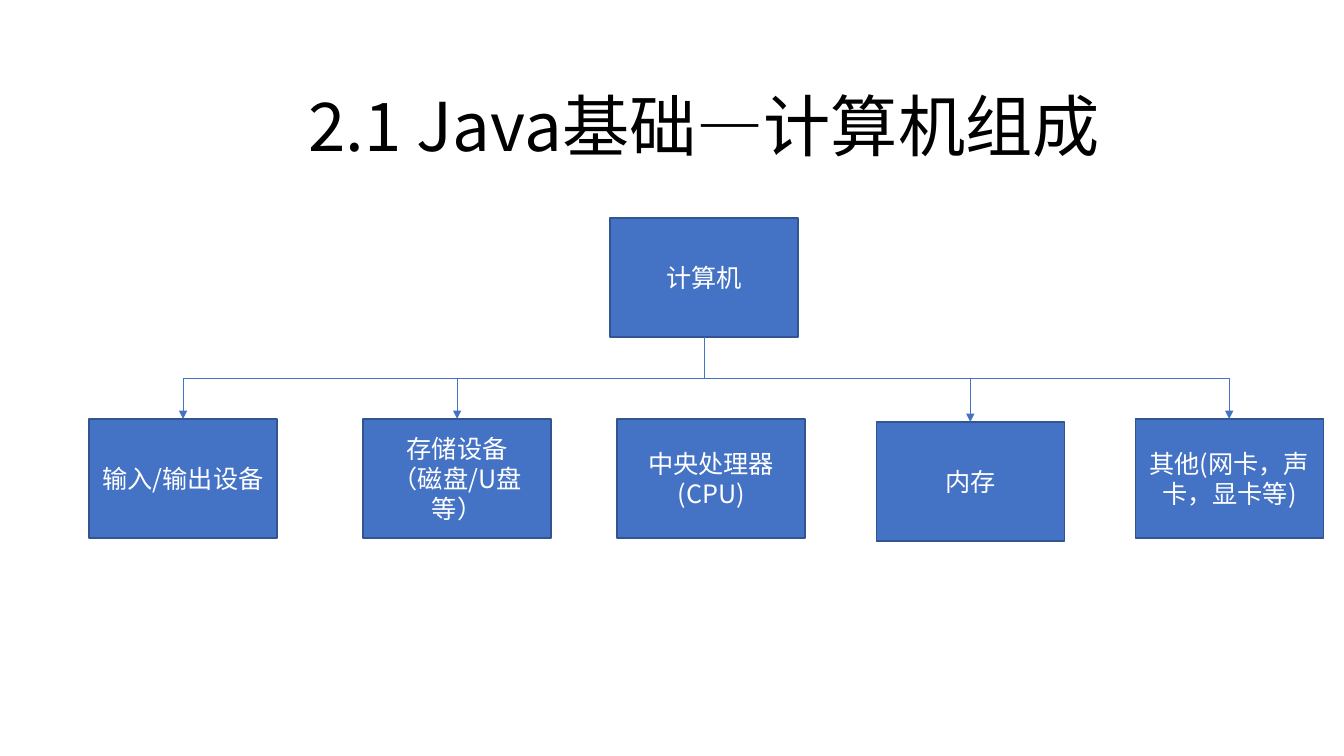
from lxml import etree
from pptx import Presentation
from pptx.dml.color import RGBColor
from pptx.enum.shapes import MSO_CONNECTOR, MSO_SHAPE
from pptx.enum.text import MSO_ANCHOR, PP_ALIGN
from pptx.oxml.ns import qn
from pptx.util import Emu, Inches, Pt

RECT = MSO_SHAPE.RECTANGLE
ELBOW = MSO_CONNECTOR.ELBOW
MIDDLE = MSO_ANCHOR.MIDDLE
CENTER = PP_ALIGN.CENTER

FONT = "Noto Sans CJK SC"
BLUE = RGBColor(0x44, 0x72, 0xC4)
EDGE = RGBColor(0x32, 0x54, 0x91)
WHITE = RGBColor(0xFF, 0xFF, 0xFF)
BLACK = RGBColor(0, 0, 0)

TITLE = "2.1 Java基础—计算机组成"
ROOT = (610, 218, ["计算机"])
PARTS = [
    (89, 419, ["输入/输出设备"]),
    (363, 419, ["存储设备", "（磁盘/U盘等）"]),
    (617, 419, ["中央处理器(CPU)"]),
    (876, 422, ["内存"]),
    (1135, 419, ["其他(网卡，声卡，显卡等)"]),
]
BOX_W, BOX_H = 188, 119
BUS_Y = 378


def px(n):
    return Emu(round(n * 914400 / 100.8))


def write(frame, lines, size, color):
    frame.word_wrap = True
    for i, line in enumerate(lines):
        para = frame.paragraphs[0] if i == 0 else frame.add_paragraph()
        para.alignment = CENTER
        run = para.add_run()
        run.text = line
        run.font.name = FONT
        run.font.size = Pt(size)
        run.font.color.rgb = color
        east = etree.SubElement(run._r.get_or_add_rPr(), qn("a:ea"))
        east.set("typeface", FONT)


def add_box(slide, x, y, lines):
    box = slide.shapes.add_shape(RECT, px(x), px(y), px(BOX_W), px(BOX_H))
    box.shadow.inherit = False
    box.fill.solid()
    box.fill.fore_color.rgb = BLUE
    box.line.color.rgb = EDGE
    box.line.width = Pt(1)
    box.text_frame.vertical_anchor = MIDDLE
    write(box.text_frame, lines, 18, WHITE)


def add_link(slide, x1, y1, x2, y2):
    link = slide.shapes.add_connector(ELBOW, px(x1), px(y1), px(x2), px(y2))
    link.line.color.rgb = BLUE
    link.line.width = Pt(0.5)
    tail = etree.SubElement(link.line._get_or_add_ln(), qn("a:tailEnd"))
    tail.set("type", "triangle")
    etree.SubElement(link._element.spPr, qn("a:effectLst"))
    return link


def add_fork(slide, x1, y1, x2, y2):
    link = add_link(slide, x1, y1, x2, y2)
    wide, high = x1 - x2, y2 - y1
    link.left, link.top = px((x1 + x2 - high) / 2), px((y1 + y2 - wide) / 2)
    link.width, link.height = px(high), px(wide)
    form = link._element.spPr.find(qn("a:xfrm"))
    form.attrib.pop("flipH", None)
    form.set("rot", "5400000")


def add_turn(slide, x1, y1, x2, y2):
    link = add_link(slide, x1, y1, x2, y2)
    link._element.spPr.find(qn("a:prstGeom")).set("prst", "bentConnector2")


def main():
    deck = Presentation()
    deck.slide_width, deck.slide_height = Inches(13.33), Inches(7.5)
    slide = deck.slides.add_slide(deck.slide_layouts[6])

    title = slide.shapes.add_textbox(px(278), px(79), px(852), px(92))
    write(title.text_frame, [TITLE], 48, BLACK)

    for x, y, lines in PARTS + [ROOT]:
        add_box(slide, x, y, lines)

    half = BOX_W // 2
    stem = ROOT[0] + half
    for x, y, lines in PARTS[:2]:
        add_fork(slide, stem, ROOT[1] + BOX_H, x + half, y)
    start = stem
    for x, y, lines in PARTS[3:]:
        add_turn(slide, start, BUS_Y, x + half, y)
        start = x + half

    deck.save("out.pptx")


if __name__ == "__main__":
    main()
